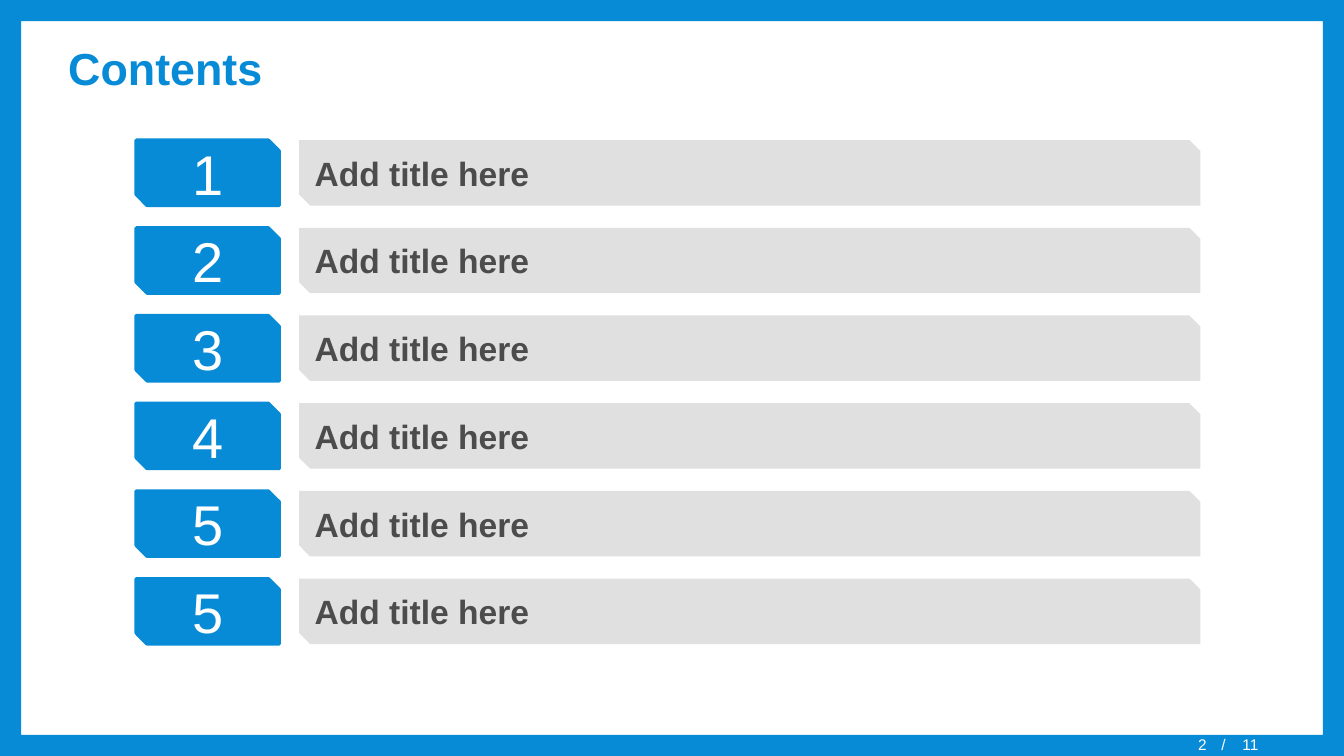
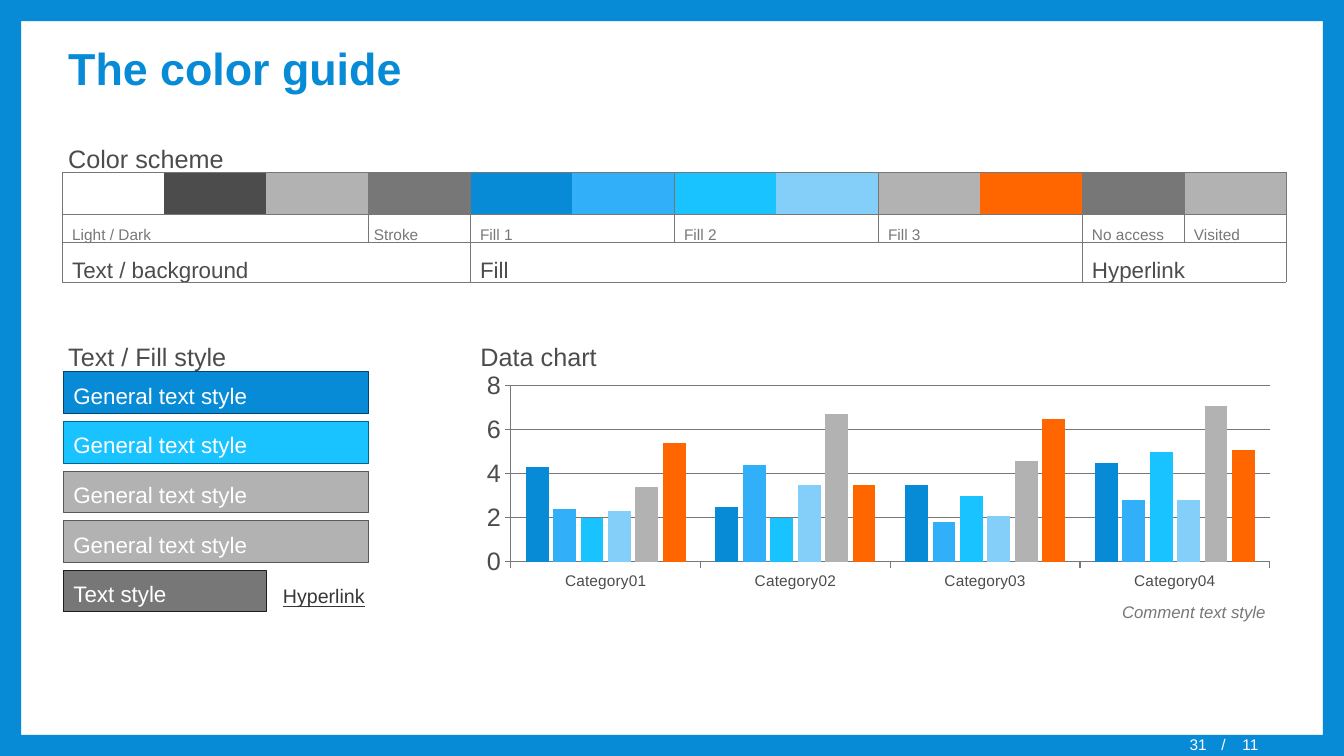
from dataclasses import dataclass

from lxml.etree import SubElement
from pptx import Presentation
from pptx.chart.data import CategoryChartData
from pptx.dml.color import RGBColor
from pptx.enum.chart import XL_CHART_TYPE, XL_TICK_MARK
from pptx.enum.shapes import MSO_CONNECTOR, MSO_SHAPE
from pptx.enum.text import MSO_ANCHOR, PP_ALIGN
from pptx.oxml.ns import qn
from pptx.util import Cm, Pt


@dataclass(frozen=True)
class TextStyle:
    size: int
    color: str
    bold: bool = False
    italic: bool = False
    underline: bool = False
    spacing: float = 1.0


@dataclass(frozen=True)
class Theme:
    font = "Arial"
    white = "FFFFFF"
    dark = "4C4C4C"
    stroke = "777777"
    silver = "B2B2B2"
    panel = "E0E0E0"
    blue = "078BD7"
    sky = "31AFF8"
    cyan = "19C3FF"
    pale = "83CFFA"
    orange = "FF6600"
    blue_edge = "04456C"
    cyan_edge = "00678C"
    silver_edge = "595959"
    dark_edge = "1E1E1E"
    hairline = 0.75
    axis_size = 18
    category_size = 11

    title = TextStyle(32, blue, bold=True)
    footer = TextStyle(11, white)
    number = TextStyle(40, white)
    entry = TextStyle(24, dark, bold=True)
    heading = TextStyle(18, dark, spacing=1.2)
    group = TextStyle(16, dark, spacing=1.2)
    label = TextStyle(11, stroke, spacing=1.2)
    button = TextStyle(16, white, spacing=1.2)
    comment = TextStyle(12, stroke, italic=True, spacing=1.2)
    link = TextStyle(14, "373737", underline=True, spacing=1.2)


def rgb(color):
    return RGBColor.from_string(color)


class Deck:
    width, height = 33.87, 19.05
    page_count = "11"

    def __init__(self, theme):
        self.theme = theme
        self.prs = Presentation()
        self.prs.slide_width = Cm(self.width)
        self.prs.slide_height = Cm(self.height)
        self.s = None

    def slide(self, title, page):
        """Start a slide with the shared frame, title and page number."""
        t = self.theme
        self.s = self.prs.slides.add_slide(self.prs.slide_layouts[6])
        frame = self.shape(MSO_SHAPE.FRAME, 0, 0, self.width, self.height, t.blue)
        frame.adjustments[0] = 0.028
        self.text(title, 1.47, 0.71, 30.94, 2.01, t.title, anchor=MSO_ANCHOR.MIDDLE)
        for content, x, w, align in (
            (page, 24.08, 6.58, PP_ALIGN.RIGHT),
            ("/", 30.53, 0.7, PP_ALIGN.LEFT),
            (self.page_count, 31.06, 1.5, PP_ALIGN.LEFT),
        ):
            sp = self.text(content, x, 18.52, w, 0.5, t.footer, align, MSO_ANCHOR.MIDDLE)
            sp.text_frame.margin_top = sp.text_frame.margin_bottom = 0

    def set_text(self, sp, content, style, align, anchor):
        tf = sp.text_frame
        tf.text = content
        tf.word_wrap = True
        tf.vertical_anchor = anchor
        p = tf.paragraphs[0]
        p.alignment = align
        p.line_spacing = style.spacing
        font = p.runs[0].font
        font.name = self.theme.font
        font.size = Pt(style.size)
        font.color.rgb = rgb(style.color)
        font.bold = style.bold
        font.italic = style.italic
        font.underline = style.underline

    def text(self, content, x, y, w, h, style,
             align=PP_ALIGN.LEFT, anchor=MSO_ANCHOR.TOP):
        sp = self.s.shapes.add_textbox(Cm(x), Cm(y), Cm(w), Cm(h))
        self.set_text(sp, content, style, align, anchor)
        return sp

    def shape(self, kind, x, y, w, h, fill, edge=None, edge_width=Theme.hairline,
              content=None, style=None, align=PP_ALIGN.LEFT):
        sp = self.s.shapes.add_shape(kind, Cm(x), Cm(y), Cm(w), Cm(h))
        sp.shadow.inherit = False
        sp.fill.solid()
        sp.fill.fore_color.rgb = rgb(fill)
        if edge:
            sp.line.color.rgb = rgb(edge)
            sp.line.width = Pt(edge_width)
        else:
            sp.line.fill.background()
        if content:
            self.set_text(sp, content, style, align, MSO_ANCHOR.MIDDLE)
        return sp

    def line(self, x1, y1, x2, y2):
        cxn = self.s.shapes.add_connector(
            MSO_CONNECTOR.STRAIGHT, Cm(x1), Cm(y1), Cm(x2), Cm(y2))
        self.thin(cxn.line)
        SubElement(cxn._element.spPr, qn("a:effectLst"))

    def thin(self, line):
        line.color.rgb = rgb(self.theme.stroke)
        line.width = Pt(self.theme.hairline)

    def column_chart(self, x, y, w, h, categories, series):
        """Draw clustered columns; series is a list of (values, color)."""
        t = self.theme
        data = CategoryChartData()
        data.categories = categories
        for i, (values, _) in enumerate(series, 1):
            data.add_series(f"Series {i}", values)
        chart = self.s.shapes.add_chart(
            XL_CHART_TYPE.COLUMN_CLUSTERED, Cm(x), Cm(y), Cm(w), Cm(h), data).chart
        chart.has_legend = chart.has_title = False
        chart.font.name = t.font
        chart.font.size = Pt(t.axis_size)
        chart.font.color.rgb = rgb(t.dark)
        plot = chart.plots[0]
        plot.vary_by_categories = False
        plot.gap_width = 130
        plot.overlap = -20
        for column, (_, color) in zip(plot.series, series):
            column.format.fill.solid()
            column.format.fill.fore_color.rgb = rgb(color)
        for axis in (chart.category_axis, chart.value_axis):
            axis.major_tick_mark = XL_TICK_MARK.OUTSIDE
            axis.minor_tick_mark = XL_TICK_MARK.NONE
            self.thin(axis.format.line)
        chart.category_axis.tick_labels.font.size = Pt(t.category_size)
        values = chart.value_axis
        values.minimum_scale, values.maximum_scale, values.major_unit = 0, 8, 2
        values.has_major_gridlines = True
        self.thin(values.major_gridlines.format.line)


def contents_slide(deck):
    t = deck.theme
    deck.slide("Contents", "2")
    for row, number in enumerate("123455"):
        y = 3.53 + 2.21 * row
        deck.shape(MSO_SHAPE.SNIP_2_DIAG_RECTANGLE, 3.43, y, 3.61, 1.65, t.blue,
                   t.blue, 2.25, number, t.number, PP_ALIGN.CENTER)
        deck.shape(MSO_SHAPE.SNIP_2_DIAG_RECTANGLE, 7.54, y, 22.71, 1.65, t.panel,
                   content="Add title here", style=t.entry)


def color_scheme(deck):
    t = deck.theme
    left, step = 1.57, 2.57
    top, label_top, group_top, bottom = 4.34, 5.41, 6.1, 7.11

    def col(i):
        return left + step * i

    swatches = (t.white, t.dark, t.silver, t.stroke, t.blue, t.sky,
                t.cyan, t.pale, t.silver, t.orange, t.stroke, t.silver)
    for i, color in enumerate(swatches):
        deck.shape(MSO_SHAPE.RECTANGLE, col(i), top, step, label_top - top, color)
    for i, label in ((0, "Light / Dark"), (3, "Stroke"), (4, "Fill 1"), (6, "Fill 2"),
                     (8, "Fill 3"), (10, "No access"), (11, "Visited")):
        nudge = -0.11 if label == "Stroke" else 0
        deck.text(label, col(i) + nudge, 5.46, 3, 0.8, t.label)
    for i, group in ((0, "Text / background"), (4, "Fill"), (10, "Hyperlink")):
        deck.text(group, col(i), 6.2, 5.1, 1, t.group)
    for y in (top, label_top, group_top, bottom):
        deck.line(left, y, col(12), y)
    for i in (0, 4, 10, 12):
        deck.line(col(i), top, col(i), bottom)
    for i in (3, 6, 8, 11):
        deck.line(col(i), top, col(i), group_top)


def color_guide_slide(deck):
    t = deck.theme
    deck.slide("The color guide", "31")
    color_scheme(deck)
    for heading, x, y in (("Color scheme", 1.47, 3.33),
                          ("Text / Fill style", 1.47, 8.33),
                          ("Data chart", 11.86, 8.33)):
        deck.text(heading, x, y, 6, 1.1, t.heading)

    general = "General text style"
    buttons = (
        (general, 7.7, t.blue, t.blue_edge),
        (general, 7.7, t.cyan, t.cyan_edge),
        (general, 7.7, t.silver, t.silver_edge),
        (general, 7.7, t.silver, t.silver_edge),
        ("Text style", 5.11, t.stroke, t.dark_edge),
    )
    for row, (content, w, fill, edge) in enumerate(buttons):
        deck.shape(MSO_SHAPE.RECTANGLE, 1.6, 9.37 + 1.25 * row, w, 1.05, fill, edge,
                   content=content, style=t.button)
    deck.text("Hyperlink", 6.88, 14.48, 3.5, 0.91, t.link)

    deck.column_chart(
        11.86, 9.25, 20.55, 5.72,
        [f"Category{i:02}" for i in range(1, 5)],
        [
            ((4.3, 2.5, 3.5, 4.5), t.blue),
            ((2.4, 4.4, 1.8, 2.8), t.sky),
            ((2, 2, 3, 5), t.cyan),
            ((2.3, 3.5, 2.1, 2.8), t.pale),
            ((3.4, 6.7, 4.6, 7.1), t.silver),
            ((5.4, 3.5, 6.5, 5.1), t.orange),
        ])
    deck.text("Comment text style", 26.15, 14.94, 6, 0.81, t.comment, PP_ALIGN.RIGHT)


def main():
    deck = Deck(Theme())
    contents_slide(deck)
    color_guide_slide(deck)
    deck.prs.save("out.pptx")


if __name__ == "__main__":
    main()
